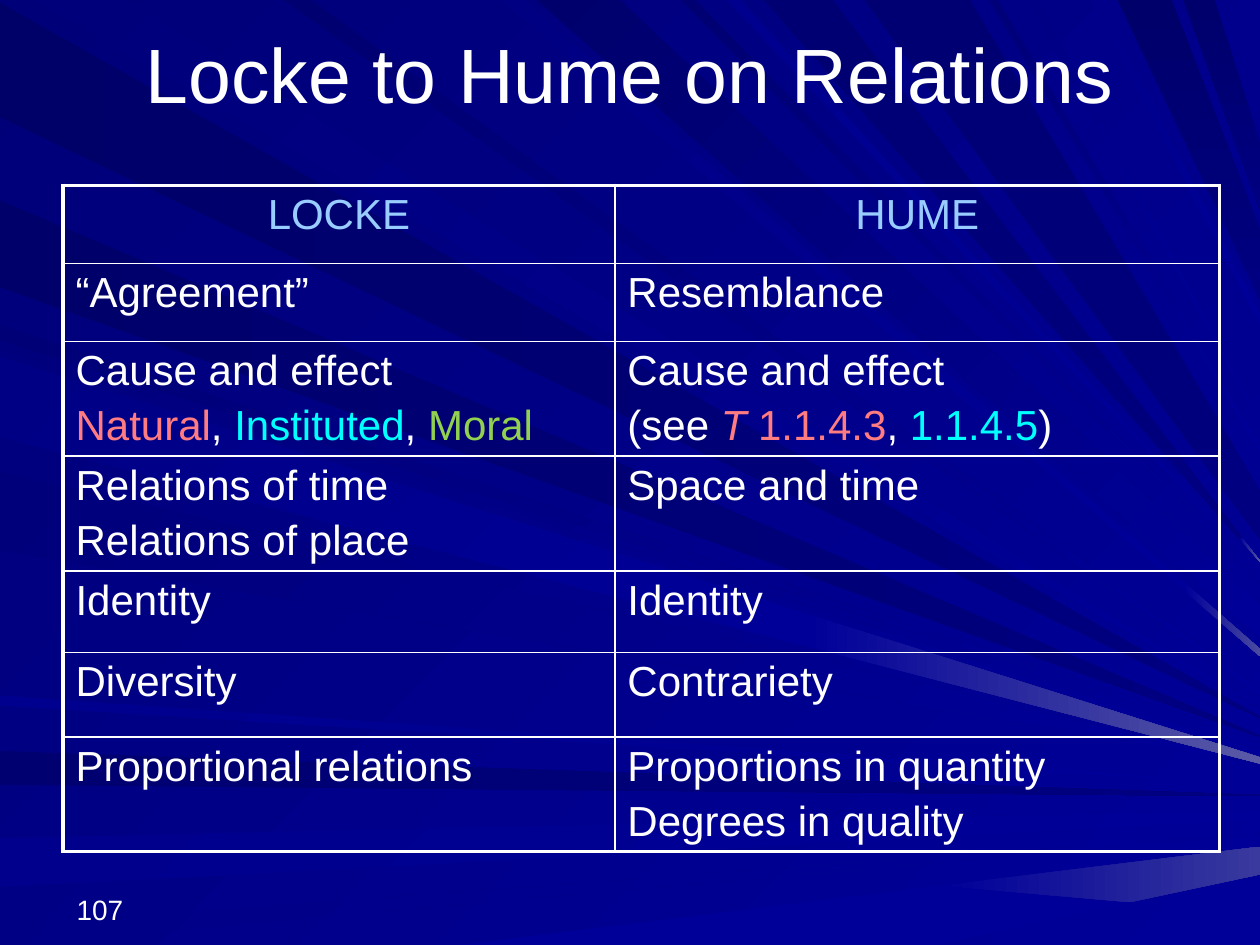
from lxml.etree import SubElement
from pptx import Presentation
from pptx.dml.color import RGBColor
from pptx.enum.text import MSO_ANCHOR as Anchor, MSO_AUTO_SIZE as AutoSize, PP_ALIGN as Align
from pptx.oxml.ns import qn
from pptx.util import Pt

PX = 9144  # EMU; 100 px to the inch
WIDTH, HEIGHT = 1000, 750
WHITE, SKY, CORAL, CYAN, GREEN = "FFFFFF", "99CCFF", "FF7C80", "00FFFF", "92D050"
NAVY, BLUE = "000080", "000099"

# Rays, back to front: slide edge, base from and to, tip height on the right edge,
# first colour, last colour, further options
RAYS = [
    ("left", 2, 93, 570, "000069", NAVY, {}),
    ("top", 26, 101, 563, "00007B", BLUE, {}),
    ("left", 596, 623, 632, "000071", NAVY, {}),
    ("left", 665, 704, 651, "00008C", BLUE, {"tip_size": 8}),
    ("left", 735, 750, 662, "000085", BLUE, {}),
    ("bottom", 364, 742, 694, BLUE, BLUE, {"tip_size": 22, "glow": "39399E", "split": 0.6}),
    ("left", 258, 270, 589, "000076", BLUE, {}),
    ("left", 159, 228, 585, "00006B", NAVY, {}),
    ("top", 398, 416, 521, "000083", BLUE, {"tip_size": 6, "glow": "4A4AA1", "split": 0.9}),
    ("top", 426, 492, 507, "00006D", BLUE, {"tip_size": 28}),
    ("top", 540, 552, 463, "000073", BLUE, {}),
    ("top", 606, 661, 446, "000073", NAVY, {"glow": "5A5AA6", "split": 0.96}),
    ("top", 887, 930, 237, "00006B", NAVY, {"tip_size": 54}),
    ("top", 939, 964, 167, "00006D", NAVY, {"tip_size": 53}),
    ("left", 278, 342, 602, "00007E", BLUE, {"tip_size": 6}),
    ("left", 374, 437, 606, "00007B", BLUE, {}),
    ("left", 552, 560, 623, "00008E", BLUE, {}),
    ("top", 225, 247, 552, "000070", BLUE, {"tip_size": 5}),
    ("top", 577, 588, 454, "00008E", BLUE, {}),
    ("top", 686, 770, 428, "000073", NAVY, {"tip_size": 38}),
    ("top", 785, 792, 360, "000078", BLUE, {"tip_size": 6}),
    ("top", 815, 824, 336, "000085", BLUE, {}),
    ("top", 865, 872, 258, "00008A", BLUE, {"tip_size": 9}),
    ("left", 283, 347, 606, "000085", BLUE, {"tip_size": 5, "glow": "5A5AA6", "split": 0.64}),
]

# Each cell is a list of paragraphs, each paragraph a list of (text, format) runs
COMPARISON = [
    [[[("LOCKE", {"color": SKY})]], [[("HUME", {"color": SKY})]]],
    [[[("“Agreement”", {})]], [[("Resemblance", {})]]],
    [
        [[("Cause and effect", {})],
         [("Natural", {"color": CORAL}), (", ", {}), ("Instituted", {"color": CYAN}),
          (", ", {}), ("Moral", {"color": GREEN})]],
        [[("Cause and effect", {})],
         [("(see ", {}), ("T ", {"color": CORAL, "italic": True}), ("1.1.4.3", {"color": CORAL}),
          (", ", {}), ("1.1.4.5", {"color": CYAN}), (")", {})]],
    ],
    [[[("Relations of time", {})], [("Relations of place", {})]], [[("Space and time", {})]]],
    [[[("Identity", {})]], [[("Identity", {})]]],
    [[[("Diversity", {})]], [[("Contrariety", {})]]],
    [[[("Proportional relations", {})]],
     [[("Proportions in quantity", {})], [("Degrees in quality", {})]]],
]
COLUMN_WIDTHS = [438, 480]
ROW_HEIGHTS = [62, 62, 59, 83, 65, 67, 83]


def rgb(code):
    return RGBColor.from_string(code)


def write(para, text, size=24, color=WHITE, italic=False):
    span = para.add_run()
    span.text = text
    span.font.name = "Arial"
    span.font.size = Pt(size)
    span.font.color.rgb = rgb(color)
    span.font.italic = italic


def paint(fill, first, last, angle):
    """Fill with a gradient at a clockwise angle."""
    fill.gradient()
    fill.gradient_angle = -angle % 360
    for stop, color in zip(fill.gradient_stops, (first, last)):
        stop.color.rgb = rgb(color)


def between(start, end, share):
    return tuple(round(a + (b - a) * share) for a, b in zip(start, end))


def ray_sides(edge, base_from, base_to, tip, tip_size):
    """Return the upper and lower side of a ray, each as (base point, tip point)."""
    if edge == "left":
        upper, lower = (0, base_from), (0, base_to)
    elif edge == "top":
        upper, lower = (base_to, 0), (base_from, 0)
    else:
        upper, lower = (base_from, HEIGHT), (base_to, HEIGHT)
    return (upper, (WIDTH, tip - tip_size)), (lower, (WIDTH, tip))


def space_before(para, percent):
    """Set paragraph spacing as a share of the line height."""
    spacing = SubElement(para._p.get_or_add_pPr(), qn("a:spcBef"))
    SubElement(spacing, qn("a:spcPct"), val=str(percent * 1000))


def draw_border(cell, side, width):
    line = SubElement(cell._tc.get_or_add_tcPr(), qn(f"a:ln{side}"), w=str(Pt(width)))
    SubElement(SubElement(line, qn("a:solidFill")), qn("a:srgbClr"), val=WHITE)


class SlideBuilder:
    def __init__(self, slide):
        self.slide = slide
        self.shapes = slide.shapes

    def background(self, first, last, angle):
        paint(self.slide.background.fill, first, last, angle)

    def polygon(self, points, first, last, angle):
        outline = self.shapes.build_freeform(*points[0], scale=PX)
        outline.add_line_segments(points[1:], close=True)
        shape = outline.convert_to_shape()
        shape.shadow.inherit = False
        shape.line.fill.background()
        paint(shape.fill, first, last, angle)

    def ray(self, edge, base_from, base_to, tip, first, last, tip_size=1, glow=None, split=1):
        """Draw a ray; with a glow, the part after the split brightens to that colour."""
        upper, lower = ray_sides(edge, base_from, base_to, tip, tip_size)
        upper_split, lower_split = between(*upper, split), between(*lower, split)
        angle = 45 if last == BLUE else 90 if edge == "top" else 0
        self.polygon([upper[0], upper_split, lower_split, lower[0]], first, last, angle)
        if glow:
            self.polygon([upper_split, upper[1], lower[1], lower_split], BLUE, glow, 0)

    def title(self, text, *bounds):
        title = self.shapes.title
        title.left, title.top, title.width, title.height = (length * PX for length in bounds)
        # Keep the title in front of the rays
        self.shapes._spTree.append(title._element)
        frame = title.text_frame
        frame.auto_size = AutoSize.NONE
        frame.vertical_anchor = Anchor.MIDDLE
        frame.paragraphs[0].alignment = Align.CENTER
        write(frame.paragraphs[0], text, size=44)

    def text(self, text, *bounds, **style):
        frame = self.shapes.add_textbox(*(length * PX for length in bounds)).text_frame
        frame.word_wrap = True
        frame.vertical_anchor = Anchor.BOTTOM
        write(frame.paragraphs[0], text, **style)

    def table(self, rows, left, top, widths, heights):
        table = self.shapes.add_table(len(heights), len(widths), left * PX, top * PX,
                                      sum(widths) * PX, sum(heights) * PX).table
        table.first_row = table.horz_banding = False
        for column, width in zip(table.columns, widths):
            column.width = width * PX
        for row, height in zip(table.rows, heights):
            row.height = height * PX
        last_row, last_column = len(heights) - 1, len(widths) - 1
        for r, row in enumerate(rows):
            for c, paragraphs in enumerate(row):
                cell = table.cell(r, c)
                outer = {"L": c == 0, "R": c == last_column, "T": r == 0, "B": r == last_row}
                for side, is_outer in outer.items():
                    draw_border(cell, side, 2.25 if is_outer else 1)
                cell.fill.background()
                self.cell_text(cell.text_frame, paragraphs, Align.CENTER if r == 0 else Align.LEFT)

    def cell_text(self, frame, paragraphs, alignment):
        for index, runs in enumerate(paragraphs):
            para = frame.add_paragraph() if index else frame.paragraphs[0]
            para.alignment = alignment
            space_before(para, 20)
            for text, style in runs:
                write(para, text, **style)


def main():
    deck = Presentation()
    deck.slide_width, deck.slide_height = WIDTH * PX, HEIGHT * PX
    page = SlideBuilder(deck.slides.add_slide(deck.slide_layouts[5]))
    page.background("000078", BLUE, 45)
    for *shape, options in RAYS:
        page.ray(*shape, **options)
    page.text("107", 51, 690, 233, 50, size=16)
    page.title("Locke to Hume on Relations", 50, 21, 900, 73)
    page.table(COMPARISON, 50, 147, COLUMN_WIDTHS, ROW_HEIGHTS)
    deck.save("out.pptx")


if __name__ == "__main__":
    main()
